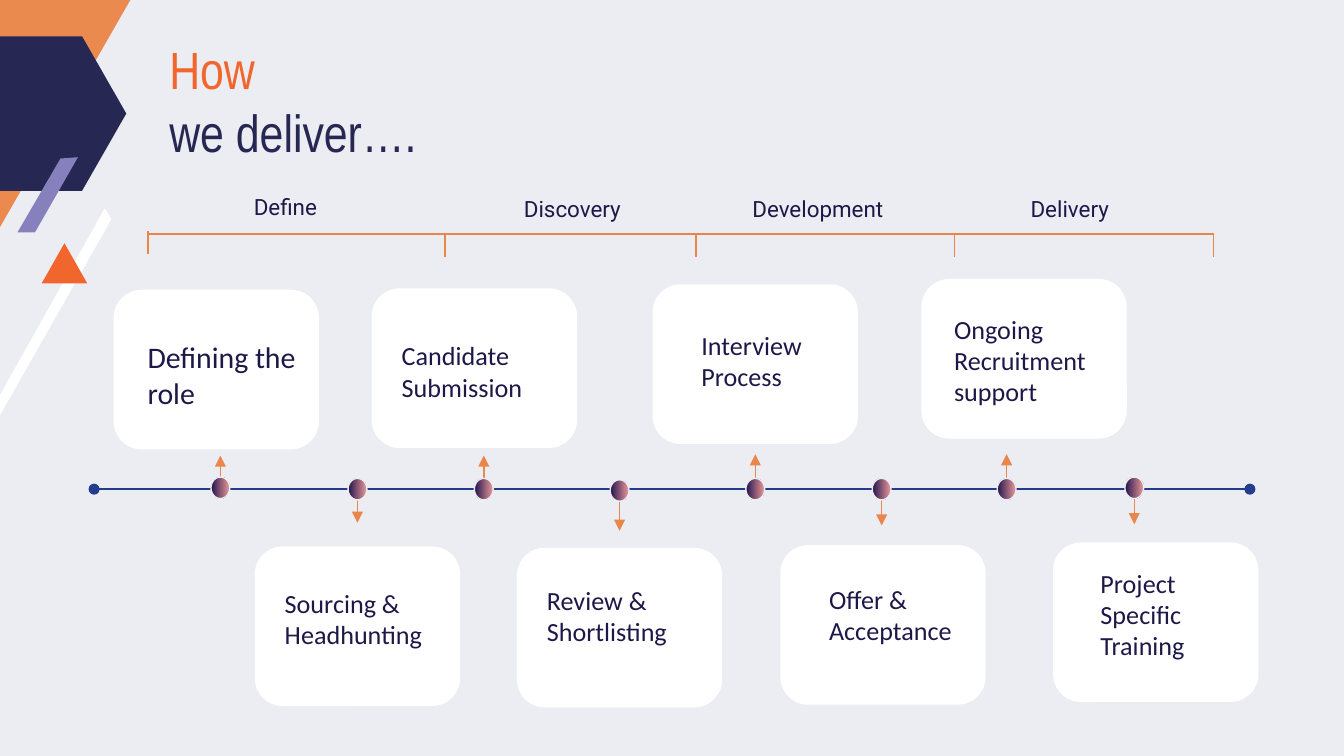
from lxml.etree import SubElement
from pptx import Presentation
from pptx.dml.color import RGBColor
from pptx.enum.shapes import MSO_CONNECTOR, MSO_SHAPE
from pptx.enum.text import MSO_ANCHOR
from pptx.oxml.ns import qn
from pptx.util import Inches, Pt

COLORS = {name: RGBColor.from_string(value) for name, value in {
    "background": "ECEDF3", "peach": "EA8A4F", "white": "FFFFFF",
    "orange": "F1662D", "navy": "272753", "lilac": "8680BC",
    "accent": "E98649", "ink": "1D1848", "blue": "223D8E",
    "dot_dark": "20124D", "dot_light": "EA9999"}.items()}

# A 16:9 page
deck = Presentation()
deck.slide_width = Inches(10)
deck.slide_height = Inches(10) * 9 // 16
page = deck.slides.add_slide(deck.slide_layouts[6])
page.background.fill.solid()
page.background.fill.fore_color.rgb = COLORS["background"]


def add_text(text, left, top, width, height, size=14, font="Calibri",
             colors=("ink",), margins=(0.1, 0.05), anchor=MSO_ANCHOR.TOP):
    """Add a text box; several colours give one line of a paragraph each."""
    box = page.shapes.add_textbox(Inches(left), Inches(top), Inches(width), Inches(height))
    frame = box.text_frame
    frame.word_wrap = True
    frame.vertical_anchor = anchor
    frame.margin_left = frame.margin_right = Inches(margins[0])
    frame.margin_top = frame.margin_bottom = Inches(margins[1])
    lines = text.split("\n")
    for index, line in enumerate(lines):
        if index == 0:
            para = frame.paragraphs[0]
        elif len(colors) > 1:
            para.add_line_break()
        else:
            para = frame.add_paragraph()
        span = para.add_run()
        span.text = line
        span.font.size = Pt(size)
        span.font.name = font
        span.font.color.rgb = COLORS[colors[index % len(colors)]]


def add_line(x1, y1, x2, y2, color="accent", ends=None):
    line = page.shapes.add_connector(
        MSO_CONNECTOR.STRAIGHT, Inches(x1), Inches(y1), Inches(x2), Inches(y2))
    line.line.color.rgb = COLORS[color]
    line.line.width = Pt(0.75)
    if ends:
        outline = line.line._get_or_add_ln()
        for tag in ("a:headEnd", "a:tailEnd"):
            SubElement(outline, qn(tag), type=ends)
    SubElement(line._element.spPr, qn("a:effectLst"))


# Corner decoration
hexagon = page.shapes.add_shape(
    MSO_SHAPE.HEXAGON, Inches(-0.36), Inches(0.27), Inches(1.3), Inches(1.15))
hexagon.adjustments[0] = 0.286
decoration = [hexagon]
for points in (
    [(0, 0), (0.97, 0), (0, 1.69)],
    [(0, 2.94), (0.78, 1.55), (0.83, 1.63), (0, 3.09)],
    [(0.31, 2.11), (0.65, 2.11), (0.48, 1.81)],
    [(0.45, 1.18), (0.13, 1.73), (0.26, 1.73), (0.58, 1.17)],
):
    corners = [(Inches(x), Inches(y)) for x, y in points]
    builder = page.shapes.build_freeform(*corners[0])
    builder.add_line_segments(corners[1:])
    decoration.append(builder.convert_to_shape())
for shape, color in zip(decoration, ("navy", "peach", "white", "orange", "lilac")):
    shape.shadow.inherit = False
    shape.fill.solid()
    shape.fill.fore_color.rgb = COLORS[color]
    shape.line.fill.background()
# The hexagon lies over the orange and white pieces, under the lilac bar
decoration[3]._element.addnext(hexagon._element)

# Phase bracket
add_line(1.1, 1.74, 9.03, 1.74)
add_line(1.1, 1.72, 1.1, 1.89)
for x in (3.31, 5.18, 7.1, 9.03):
    add_line(x, 1.74, x, 1.91)
for phase, left, top, width in (
    ("Define", 1.79, 1.39, 0.96), ("Discovery", 3.8, 1.4, 0.96),
    ("Development", 5.5, 1.4, 1.22), ("Delivery", 7.57, 1.4, 0.96),
):
    add_text(phase, left, top, width, 0.3, size=12, font="Roboto")

# Steps: text, its box and size, card corner, dot centre and top, arrow top
steps = [
    ("Defining the role", (1, 2.47, 1.42, 0.64), 16, (0.86, 2.17), (1.64, 3.55), 3.39),
    ("Sourcing & Headhunting", (2.02, 4.32, 1.42, 0.57), 14, (1.91, 4.08), (2.66, 3.56), 3.57),
    ("Candidate Submission", (2.89, 2.48, 1.42, 0.57), 14, (2.78, 2.16), (3.6, 3.56), 3.39),
    ("Review & Shortlisting", (3.97, 4.3, 1.42, 0.57), 14, (3.86, 4.09), (4.61, 3.57), 3.63),
    ("Interview Process", (5.12, 2.4, 1.42, 0.57), 14, (4.87, 2.13), (5.62, 3.56), 3.38),
    ("Offer &\nAcceptance", (6.07, 4.29, 1.42, 0.57), 14, (5.82, 4.07), (6.56, 3.56), 3.59),
    ("Ongoing Recruitment support", (7, 2.28, 1.42, 0.81), 14, (6.87, 2.09), (7.49, 3.56), 3.38),
    ("Project\nSpecific\nTraining", (8.09, 4.17, 1.9, 0.81), 14, (7.85, 4.05), (8.44, 3.55), 3.58),
]

# Cards and arrows
for text, text_box, size, (left, top), (center, dot_top), arrow_top in steps:
    card = page.shapes.add_shape(
        MSO_SHAPE.ROUNDED_RECTANGLE, Inches(left), Inches(top), Inches(1.5), Inches(1.16))
    card.shadow.inherit = False
    card.fill.solid()
    card.fill.fore_color.rgb = COLORS["white"]
    card.line.color.rgb = COLORS["white"]
    card.line.width = Pt(2)
    add_line(center, arrow_top + 0.32, center, arrow_top, ends="triangle")

# Timeline, dots and step texts
add_line(9.3, 3.64, 0.7, 3.64, color="blue", ends="oval")
for text, text_box, size, corner, (center, dot_top), arrow_top in steps:
    dot = page.shapes.add_shape(
        MSO_SHAPE.OVAL, Inches(center - 0.07), Inches(dot_top), Inches(0.14), Inches(0.16))
    dot.shadow.inherit = False
    dot.fill.gradient()
    dot.fill.gradient_angle = 0
    for stop, color in zip(dot.fill.gradient_stops, ("dot_dark", "dot_light")):
        stop.color.rgb = COLORS[color]
    dot.line.color.rgb = COLORS["background"]
    dot.line.width = Pt(0.75)
    add_text(text, *text_box, size=size)

# Title
add_text("How\nwe deliver….", 1.26, 0.78, 2.6, 0.43, size=28, font="Arial Narrow",
         colors=("orange", "navy"), margins=(0, 0), anchor=MSO_ANCHOR.BOTTOM)

deck.save("out.pptx")
